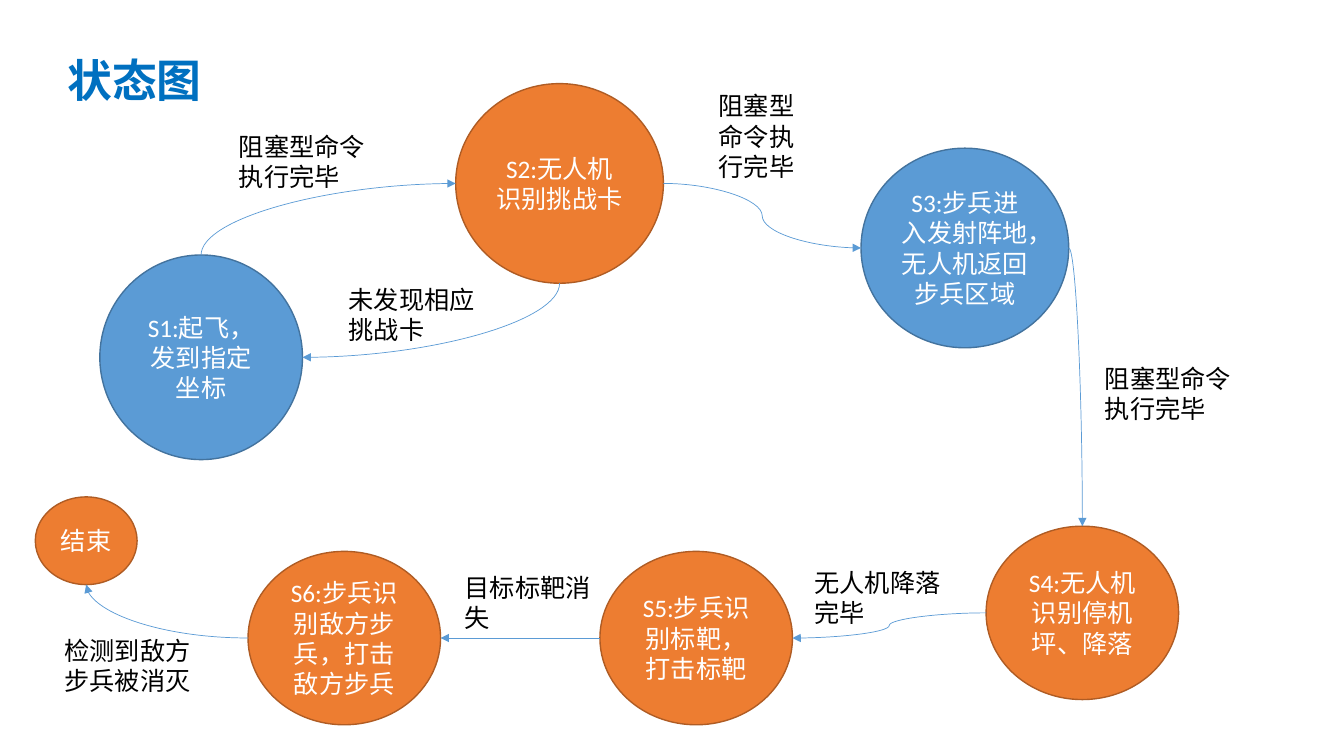
import pptx
import pptx.util
import pptx.dml.color
import pptx.enum.shapes
import pptx.enum.text
import pptx.enum.lang
import pptx.oxml
import pptx.oxml.ns

RGB = pptx.dml.color.RGBColor
BLUE, NAVY = RGB(0x5B, 0x9B, 0xD5), RGB(0x43, 0x73, 0x9E)
ORANGE, RUST = RGB(0xED, 0x7D, 0x31), RGB(0xAF, 0x5C, 0x24)
TITLE, BLACK, WHITE = RGB(0, 0x70, 0xC0), RGB(0, 0, 0), RGB(255, 255, 255)
LATIN, HAN = "Calibri", "Noto Sans CJK SC"
PX = 9144  # EMU in a px, 100 px to the inch

# Content: name -> text, box (left, top, width, height), fill, edge
STATES = {
    "S1": ("S1:起飞，发到指定坐标", (99, 253, 201, 203), BLUE, NAVY),
    "S2": ("S2:无人机识别挑战卡", (452, 83, 206, 198), ORANGE, RUST),
    "S3": ("S3:步兵进入发射阵地，无人机返回步兵区域", (854, 147, 206, 198), BLUE, NAVY),
    "S4": ("S4:无人机识别停机坪、降落", (978, 522, 191, 172), ORANGE, RUST),
    "S5": ("S5:步兵识别标靶，打击标靶", (595, 547, 191, 172), ORANGE, RUST),
    "S6": ("S6:步兵识别敌方步兵，打击敌方步兵", (246, 547, 191, 172), ORANGE, RUST),
    "End": ("结束", (35, 493, 101, 87), ORANGE, RUST),
}
# From state and side, to state and side
MOVES = [
    ("S1", "top", "S2", "left"),
    ("S2", "bottom", "S1", "right"),
    ("S2", "right", "S3", "left"),
    ("S3", "right", "S4", "top"),
    ("S4", "left", "S5", "right"),
    ("S5", "left", "S6", "right"),
    ("S6", "left", "End", "bottom"),
]
# Text, left, top, width, height
LABELS = [
    ("阻塞型命令执行完毕", 227, 125, 165, 71),
    ("阻塞型命令执行完毕", 703, 85, 95, 101),
    ("未发现相应挑战卡", 336, 277, 165, 71),
    ("阻塞型命令执行完毕", 1086, 355, 165, 71),
    ("无人机降落完毕", 798, 558, 165, 71),
    ("目标标靶消失", 451, 563, 165, 71),
    ("检测到敌方步兵被消灭", 54, 625, 165, 71),
]
# Each side as a share of width and height
SIDES = {"top": (0.5, 0), "bottom": (0.5, 1), "left": (0, 0.5), "right": (1, 0.5)}
UPRIGHT = ("top", "bottom")


def emu(*nums):
    return [round(n * PX) for n in nums]


def write(shape, text, color, size=18, font=LATIN):
    frame = shape.text_frame
    frame.word_wrap = True
    para = frame.paragraphs[0]
    para.text = text
    face = para.font
    face.size = pptx.util.Pt(size)
    face.color.rgb = color
    face.name = font
    face.language_id = pptx.enum.lang.MSO_LANGUAGE_ID.SIMPLIFIED_CHINESE
    for props in para._p.iter(pptx.oxml.ns.qn("a:defRPr")):
        east = pptx.oxml.parse_xml(
            f'<a:ea {pptx.oxml.ns.nsdecls("a")} typeface="{HAN}"/>')
        props.find(pptx.oxml.ns.qn("a:latin")).addnext(east)
    return frame, para


def port(name, side):
    left, top, wide, high = STATES[name][1]
    across, down = SIDES[side]
    return left + wide * across, top + high * down


def link(slide, start, exit_side, end, entry):
    x1, y1 = port(start, exit_side)
    x2, y2 = port(end, entry)
    turned = exit_side in UPRIGHT
    if turned:  # lay the curve out before its quarter turn
        midx, midy = (x1 + x2) / 2, (y1 + y2) / 2
        dx, dy = (y2 - y1) / 2, (x1 - x2) / 2
        x1, y1, x2, y2 = midx - dx, midy - dy, midx + dx, midy + dy
    line = slide.shapes.add_connector(
        pptx.enum.shapes.MSO_CONNECTOR.CURVE, *emu(x1, y1, x2, y2))
    line.line.color.rgb = BLUE
    line.line.width = pptx.util.Pt(0.5)
    props = line._element.spPr
    if turned:
        props.find(pptx.oxml.ns.qn("a:xfrm")).set("rot", "5400000")
    if turned != (entry in UPRIGHT):  # one bend only
        props.find(pptx.oxml.ns.qn("a:prstGeom")).set("prst", "curvedConnector2")
    names = pptx.oxml.ns.nsdecls("a")
    props.find(pptx.oxml.ns.qn("a:ln")).append(
        pptx.oxml.parse_xml(f'<a:tailEnd {names} type="triangle"/>'))
    props.append(pptx.oxml.parse_xml(f"<a:effectLst {names}/>"))


def main():
    deck = pptx.Presentation()
    deck.slide_width, deck.slide_height = emu(1333, 750)
    slide = deck.slides.add_slide(deck.slide_layouts[6])
    middle = pptx.enum.text.MSO_ANCHOR.MIDDLE

    # Title
    box = slide.shapes.add_textbox(*emu(57, 51, 1150, 63))
    frame, para = write(box, "状态图", TITLE, 32, HAN)
    frame.vertical_anchor = middle
    para.font.bold = True
    para.line_spacing = 0.9

    # States
    for text, area, fill, edge in STATES.values():
        oval = slide.shapes.add_shape(
            pptx.enum.shapes.MSO_SHAPE.OVAL, *emu(*area))
        oval.shadow.inherit = False
        oval.fill.solid()
        oval.fill.fore_color.rgb = fill
        oval.line.color.rgb = edge
        oval.line.width = pptx.util.Pt(1)
        frame, para = write(oval, text, WHITE)
        frame.vertical_anchor = middle
        para.alignment = pptx.enum.text.PP_ALIGN.CENTER

    # Arrows
    for move in MOVES:
        link(slide, *move)

    # Arrow labels
    for text, *area in LABELS:
        box = slide.shapes.add_textbox(*emu(*area))
        frame, para = write(box, text, BLACK)
        frame.auto_size = pptx.enum.text.MSO_AUTO_SIZE.SHAPE_TO_FIT_TEXT

    deck.save("out.pptx")


if __name__ == "__main__":
    main()
